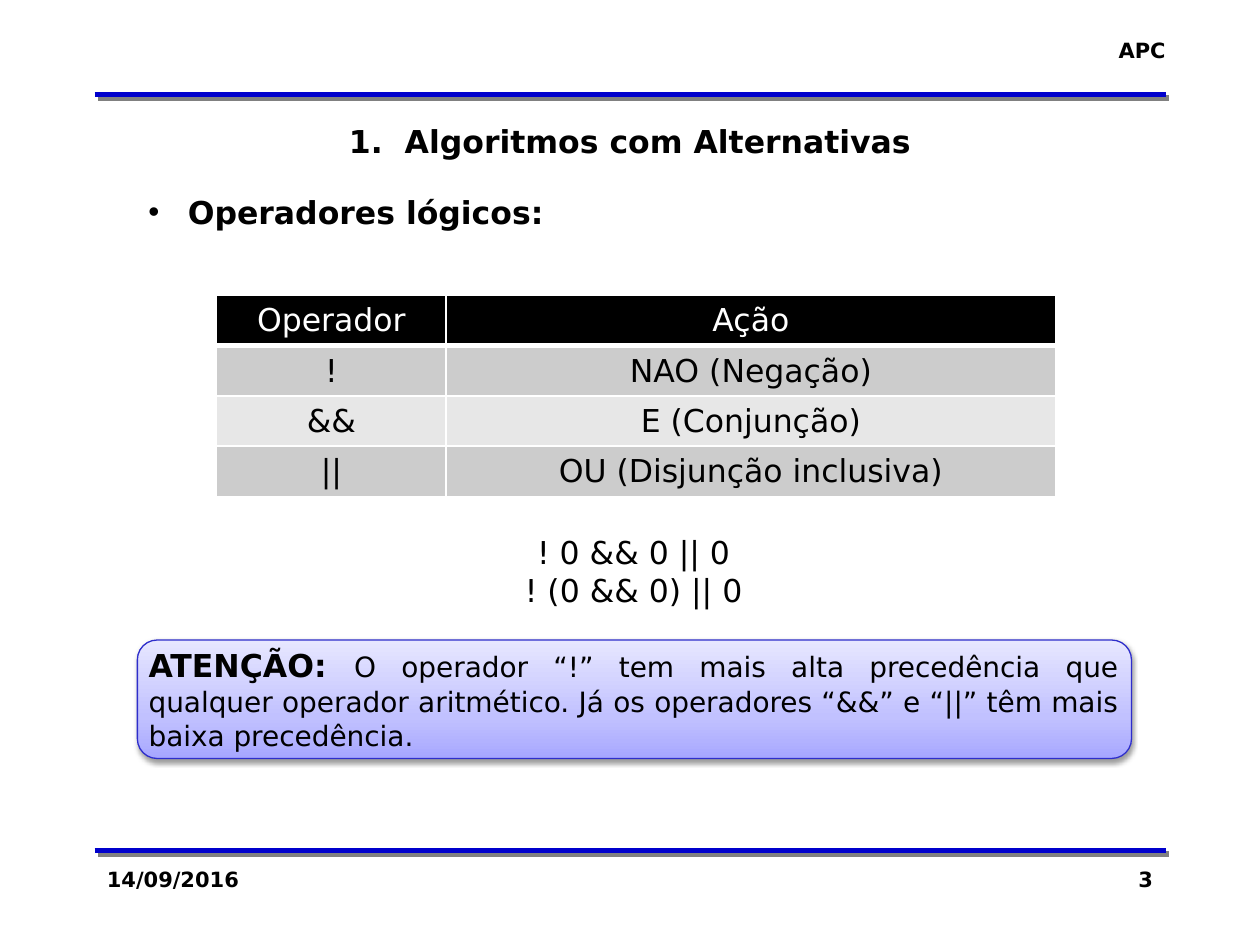
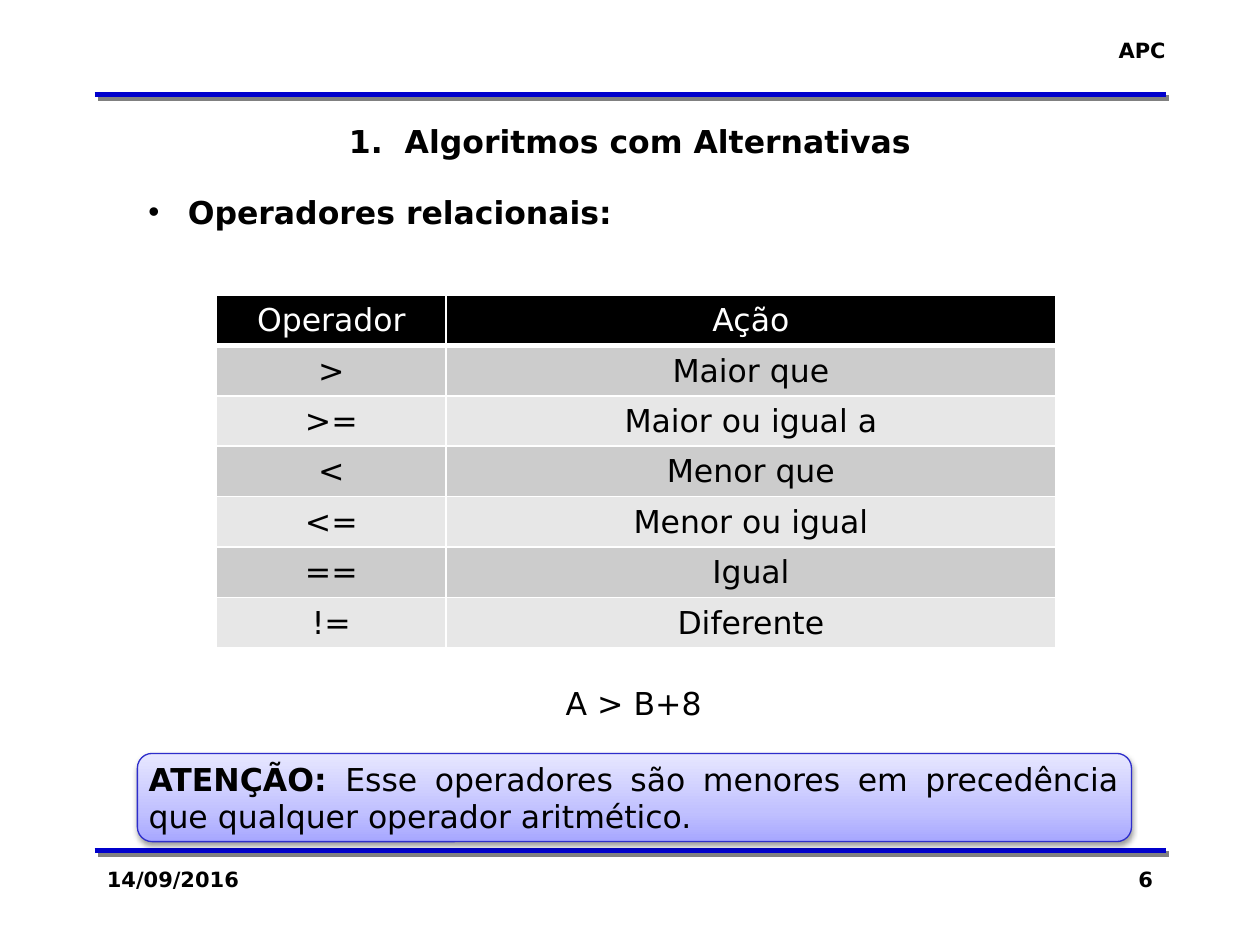
from dataclasses import dataclass
from typing import Any, NamedTuple

from lxml.etree import SubElement
from pptx import Presentation
from pptx.dml.color import RGBColor
from pptx.enum.shapes import MSO_CONNECTOR, MSO_SHAPE
from pptx.enum.text import MSO_ANCHOR, MSO_AUTO_SIZE, PP_ALIGN
from pptx.oxml import parse_xml
from pptx.oxml.ns import nsdecls, qn
from pptx.util import Pt


@dataclass(frozen=True)
class Theme:
    font: str = "DejaVu Sans"
    ink: str = "000000"
    white: str = "FFFFFF"
    rule: str = "0000CC"
    rule_shade: str = "808080"
    edge: str = "2E2ECB"
    bands: tuple[str, str] = ("CCCCCC", "E7E7E7")
    glow: tuple[tuple[int, str], ...] = ((0, "A7A7FF"), (35, "C1C1FF"), (100, "E7E7FF"))
    body: float = 18
    small: float = 12
    lead: float = 1.2  # line pitch as a share of the type size


class Box(NamedTuple):
    left: float
    top: float
    width: float
    height: float


class Shade(NamedTuple):
    color: str
    alpha: int
    blur: float
    gap: float
    angle: int


class Note(NamedTuple):
    text: str
    size: float
    pitch: float
    top: float
    height: float
    pad: float


class Page(NamedTuple):
    number: str
    head: str
    rows: list[tuple[str, str]]
    samples: list[str]
    first: int  # text line on which the samples start
    note: Note


LOOK = Theme()
PITCH = LOOK.body * LOOK.lead
LEFT, RIGHT = 54, 666
RULES = (54, 486)
TITLE = Box(LEFT, 66.24, RIGHT - LEFT, 28.8)
HEAD = Box(77.76, 106.56, 568.8, 28.8)
GRID = Box(123.84, 168.48, 479.52, 28.8)
COLS = (131.04, 348.48)
RULE_SHADE = Shade(LOOK.rule_shade, 100, 0, 2.8, 45)
NOTE_SHADE = Shade(LOOK.ink, 38, 3.1, 1.6, 90)

PAGES = [
    Page("3", "Operadores lógicos:",
         [("!", "NAO (Negação)"), ("&&", "E (Conjunção)"),
          ("||", "OU (Disjunção inclusiva)")],
         ["! 0 && 0 || 0", "! (0 && 0) || 0"], 9,
         Note("O operador “!” tem mais alta precedência que qualquer operador "
              "aritmético. Já os operadores “&&” e “||” têm mais baixa precedência.",
              16, 19.5, 365.76, 67.68, 5.6)),
    Page("6", "Operadores relacionais:",
         [(">", "Maior que"), (">=", "Maior ou igual a"), ("<", "Menor que"),
          ("<=", "Menor ou igual"), ("==", "Igual"), ("!=", "Diferente")],
         ["A > B+8"], 13,
         Note("Esse operadores são menores em precedência que qualquer operador "
              "aritmético.", 18, PITCH, 430.56, 50.4, 3.6)),
]


# Text helpers
def style(run: Any, size: float, bold: bool = False, color: str = LOOK.ink) -> None:
    font = run.font
    font.name, font.size, font.bold = LOOK.font, Pt(size), bold
    font.color.rgb = RGBColor.from_string(color)


def write(frame: Any, text: str, size: float = LOOK.body, bold: bool = False,
          align: Any = PP_ALIGN.LEFT, color: str = LOOK.ink) -> None:
    frame.text = text
    for par in frame.paragraphs:
        par.alignment = align
        par.line_spacing = Pt(size * LOOK.lead)
        for run in par.runs:
            style(run, size, bold, color)


def label(slide: Any, box: Box, text: str, **look: Any) -> Any:
    frame = slide.shapes.add_textbox(*map(Pt, box)).text_frame
    frame.word_wrap = True
    write(frame, text, **look)
    return frame


# Effects and borders
def cast(shape: Any, shade: Shade) -> None:
    props = shape._element.spPr
    group = props.find(qn("a:effectLst"))
    if group is None:
        group = SubElement(props, qn("a:effectLst"))
    outer = SubElement(group, qn("a:outerShdw"), blurRad=str(Pt(shade.blur)),
                       dist=str(Pt(shade.gap)), dir=str(shade.angle * 60000),
                       algn="ctr", rotWithShape="0")
    tint = SubElement(outer, qn("a:srgbClr"), val=shade.color)
    SubElement(tint, qn("a:alpha"), val=str(shade.alpha * 1000))


def blend(shape: Any) -> None:
    stops = "".join(f'<a:gs pos="{pos * 1000}"><a:srgbClr val="{color}"/></a:gs>'
                    for pos, color in LOOK.glow)
    fill = parse_xml(f'<a:gradFill {nsdecls("a")} rotWithShape="1"><a:gsLst>{stops}'
                     '</a:gsLst><a:lin ang="16200000" scaled="0"/></a:gradFill>')
    shape._element.spPr.find(qn("a:prstGeom")).addnext(fill)


def border(cell: Any, top: float, bottom: float) -> None:
    props = cell._tc.get_or_add_tcPr()
    sides = {"lnL": 1, "lnR": 1, "lnT": top, "lnB": bottom}
    for spot, (side, width) in enumerate(sides.items()):
        line = parse_xml(f'<a:{side} {nsdecls("a")} w="{Pt(width)}"><a:solidFill>'
                         f'<a:srgbClr val="{LOOK.white}"/></a:solidFill></a:{side}>')
        props.insert(spot, line)


# Parts shared by all slides
def frame_page(slide: Any, number: str) -> None:
    for y in RULES:
        line = slide.shapes.add_connector(MSO_CONNECTOR.STRAIGHT,
                                          Pt(LEFT), Pt(y), Pt(RIGHT), Pt(y))
        line.line.color.rgb = RGBColor.from_string(LOOK.rule)
        line.line.width = Pt(3)
        cast(line, RULE_SHADE)
    small = {"size": LOOK.small, "bold": True}
    label(slide, Box(631.44, 18, 41.76, 21.6), "APC", align=PP_ALIGN.RIGHT,
          **small).word_wrap = False
    label(slide, Box(LEFT, 491.76, 150, 36), "14/09/2016", **small)
    label(slide, Box(RIGHT - 150, 491.76, 150, 36), number,
          align=PP_ALIGN.RIGHT, **small)

    title = slide.shapes.title
    title.left, title.top, title.width, title.height = map(Pt, TITLE)
    title.text_frame.auto_size = MSO_AUTO_SIZE.NONE
    title.text_frame.vertical_anchor = MSO_ANCHOR.TOP
    write(title.text_frame, "1.  Algoritmos com Alternativas", bold=True,
          align=PP_ALIGN.CENTER)


# Parts of one slide
def add_head(slide: Any, text: str) -> None:
    par = label(slide, HEAD, text, bold=True).paragraphs[0]
    props = par._p.get_or_add_pPr()
    props.set("marL", str(Pt(22.5)))
    props.set("indent", str(Pt(-22.5)))
    SubElement(props, qn("a:buFont"), typeface="Arial")
    SubElement(props, qn("a:buChar"), char="•")


def add_grid(slide: Any, rows: list[tuple[str, str]]) -> None:
    lines = [("Operador", "Ação"), *rows]
    box = GRID._replace(height=GRID.height * len(lines))
    table = slide.shapes.add_table(len(lines), len(COLS), *map(Pt, box)).table
    for col, width in zip(table.columns, COLS):
        col.width = Pt(width)
    for r, line in enumerate(lines):
        table.rows[r].height = Pt(GRID.height)
        back = LOOK.bands[(r - 1) % 2] if r else LOOK.ink
        for c, text in enumerate(line):
            cell = table.cell(r, c)
            cell.fill.solid()
            cell.fill.fore_color.rgb = RGBColor.from_string(back)
            border(cell, 3 if r == 1 else 1, 1 if r else 3)
            write(cell.text_frame, text, align=PP_ALIGN.CENTER,
                  color=LOOK.ink if r else LOOK.white)


def add_note(slide: Any, note: Note) -> None:
    box = Box(78.48, note.top, 568.08, note.height)
    shape = slide.shapes.add_shape(MSO_SHAPE.ROUNDED_RECTANGLE, *map(Pt, box))
    blend(shape)
    shape.line.color.rgb = RGBColor.from_string(LOOK.edge)
    shape.line.width = Pt(0.75)
    shape.shadow.inherit = False
    cast(shape, NOTE_SHADE)

    # Rounded corners already push the text in
    corner = note.height * 0.05
    frame = shape.text_frame
    frame.word_wrap = True
    frame.vertical_anchor = MSO_ANCHOR.TOP
    frame.margin_left = Pt(6.5 - corner)
    frame.margin_right = Pt(7.2 - corner)
    frame.margin_top = Pt(note.pad - corner)
    frame.margin_bottom = Pt(0)
    write(frame, "ATENÇÃO: ", bold=True, align=PP_ALIGN.JUSTIFY)
    par = frame.paragraphs[0]
    par.line_spacing = Pt(note.pitch)
    run = par.add_run()
    run.text = note.text
    style(run, note.size)


def main() -> None:
    deck = Presentation()
    deck.slide_width, deck.slide_height = Pt(720), Pt(540)
    for page in PAGES:
        slide = deck.slides.add_slide(deck.slide_layouts[5])
        frame_page(slide, page.number)
        add_head(slide, page.head)
        add_grid(slide, page.rows)
        spot = HEAD._replace(top=HEAD.top + page.first * PITCH,
                             height=7.2 + len(page.samples) * PITCH)
        label(slide, spot, "\n".join(page.samples), align=PP_ALIGN.CENTER)
        add_note(slide, page.note)
    deck.save("out.pptx")


if __name__ == "__main__":
    main()
